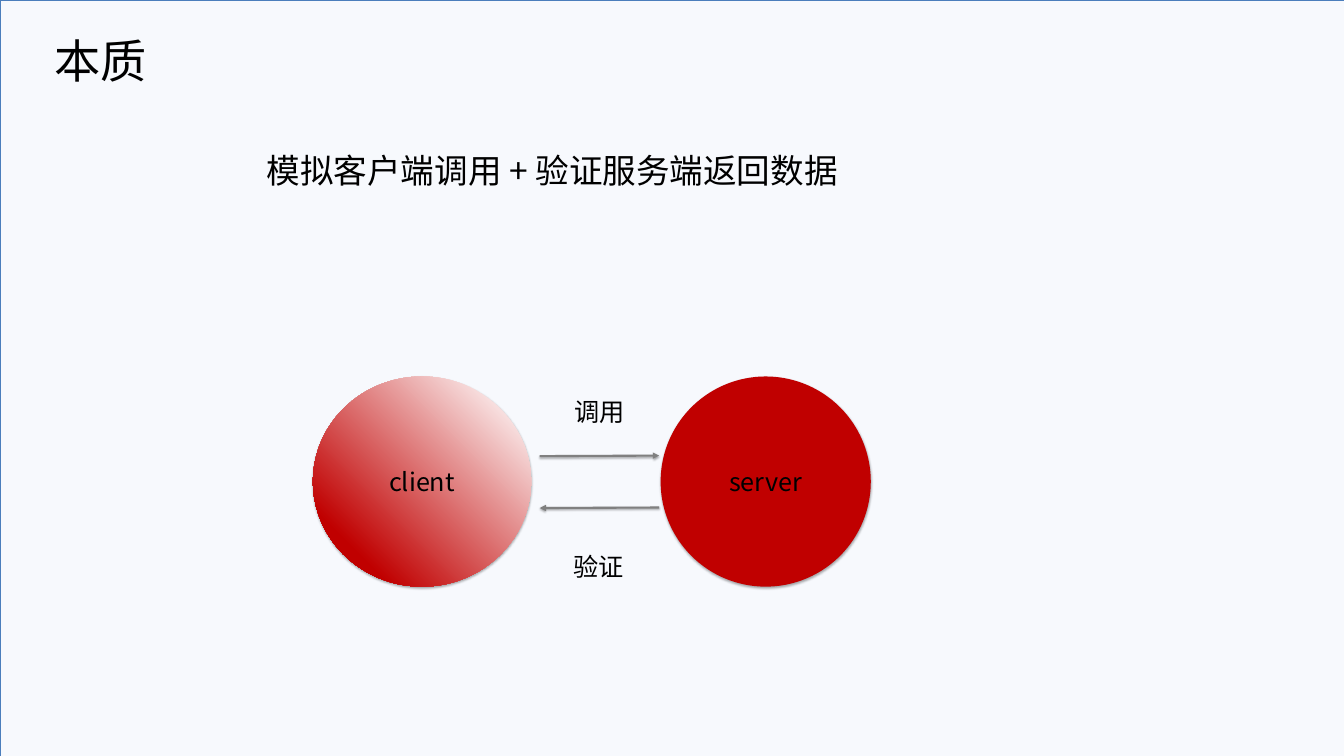
"""Build the client and server essence slide."""
from lxml.etree import SubElement
from pptx import Presentation
from pptx.dml.color import RGBColor
from pptx.enum.shapes import MSO_CONNECTOR as Connector, MSO_SHAPE as Shape
from pptx.enum.text import MSO_ANCHOR as Anchor, MSO_AUTO_SIZE as AutoSize, PP_ALIGN as Align
from pptx.oxml.ns import qn
from pptx.util import Inches, Pt

COLORS = {
    "panel": "F7F9FD", "border": "4B7EBC", "text": "000000", "shadow": "000000",
    "pale": "F7DEDE", "red": "C00000", "arrow": "808080",
}


class SlideBuilder:
    def __init__(self, slide, font):
        self.slide = slide
        self.font = font

    def color(self, name):
        return RGBColor.from_string(COLORS[name])

    def add_text(self, frame, text, size, align=Align.LEFT, insets=(0.1, 0.05, 0.1, 0.05)):
        left, top, right, bottom = map(Inches, insets)
        frame.margin_left, frame.margin_top = left, top
        frame.margin_right, frame.margin_bottom = right, bottom
        para = frame.paragraphs[0]
        para.alignment = align
        span = para.add_run()
        span.text = text
        span.font.size = Pt(size)
        span.font.name = self.font
        span.font.color.rgb = self.color("text")
        SubElement(span.font._element, qn("a:ea"), typeface=self.font)

    def shadow(self, shape, alpha, blur, distance):
        effects = SubElement(shape._element.spPr, qn("a:effectLst"))
        outer = SubElement(effects, qn("a:outerShdw"), blurRad=str(Pt(blur)),
                           dist=str(Pt(distance)), dir="5400000", rotWithShape="0")
        tint = SubElement(outer, qn("a:srgbClr"), val=COLORS["shadow"])
        SubElement(tint, qn("a:alpha"), val=str(alpha * 1000))

    def panel(self, width, height):
        panel = self.slide.shapes.add_shape(Shape.RECTANGLE, 0, 0, width, height)
        panel.fill.solid()
        panel.fill.fore_color.rgb = self.color("panel")
        panel.line.color.rgb = self.color("border")
        panel.line.width = Pt(0.75)
        self.shadow(panel, 35, 3.1, 1.8)
        self.slide.shapes._spTree.insert(2, panel._element)

    def title(self, text, left, top, width, height, size):
        title = self.slide.shapes.title
        title.left, title.top = Inches(left), Inches(top)
        title.width, title.height = Inches(width), Inches(height)
        title.text_frame.vertical_anchor = Anchor.MIDDLE
        self.add_text(title.text_frame, text, size)

    def statement(self, text, left, top, width, height, size, insets):
        box = self.slide.shapes.add_textbox(*map(Inches, (left, top, width, height)))
        box.text_frame.word_wrap = True
        self.add_text(box.text_frame, text, size, insets=insets)

    def label(self, text, left, top, width=1.41, height=0.81):
        box = self.slide.shapes.add_textbox(*map(Inches, (left, top, width, height)))
        box.text_frame.word_wrap = False
        box.text_frame.auto_size = AutoSize.SHAPE_TO_FIT_TEXT
        self.add_text(box.text_frame, text, 36, Align.CENTER, (0.2, 0.1, 0.2, 0.1))

    def circle(self, text, left, width, gradient=False, top=7.47, height=4.17):
        circle = self.slide.shapes.add_shape(
            Shape.OVAL, *map(Inches, (left, top, width, height)))
        if gradient:
            circle.fill.gradient()
            circle.fill.gradient_angle = 225
            for stop, position, name in zip(
                    circle.fill.gradient_stops, (0.15, 0.82), ("pale", "red")):
                stop.position = position
                stop.color.rgb = self.color(name)
        else:
            circle.fill.solid()
            circle.fill.fore_color.rgb = self.color("red")
        circle.line.fill.background()
        self.shadow(circle, 32, 3.5, 2.2)
        circle.text_frame.word_wrap = False
        circle.text_frame.vertical_anchor = Anchor.MIDDLE
        self.add_text(circle.text_frame, text, 36, Align.CENTER, (0.2, 0.1, 0.2, 0.1))

    def arrow(self, start, end):
        arrow = self.slide.shapes.add_connector(
            Connector.STRAIGHT, *map(Inches, (*start, *end)))
        arrow.line.color.rgb = self.color("arrow")
        arrow.line.width = Pt(3)
        SubElement(arrow._element.spPr.find(qn("a:ln")), qn("a:tailEnd"), type="triangle")
        self.shadow(arrow, 35, 3.1, 1.8)


def main():
    deck = Presentation()
    deck.slide_width, deck.slide_height = Inches(26.67), Inches(15)
    page = SlideBuilder(deck.slides.add_slide(deck.slide_layouts[5]), "Noto Sans CJK SC")
    page.panel(deck.slide_width, deck.slide_height)
    page.title("本质", 0.98, 0.6, 21.2, 1.17, 66)
    page.circle("client", 6.21, 4.33, gradient=True)
    page.circle("server", 13.11, 4.17)
    page.arrow((10.71, 9.05), (13.08, 9.04))
    page.arrow((13.08, 10.07), (10.71, 10.08))
    page.label("调用", 11.19, 7.77)
    page.label("验证", 11.17, 10.83)
    page.statement("模拟客户端调用 + 验证服务端返回数据", 3.26, 2.21, 17.27, 2.84, 48,
                   (2.03, 0.77, 0.1, 0.05))
    deck.save("out.pptx")


if __name__ == "__main__":
    main()
